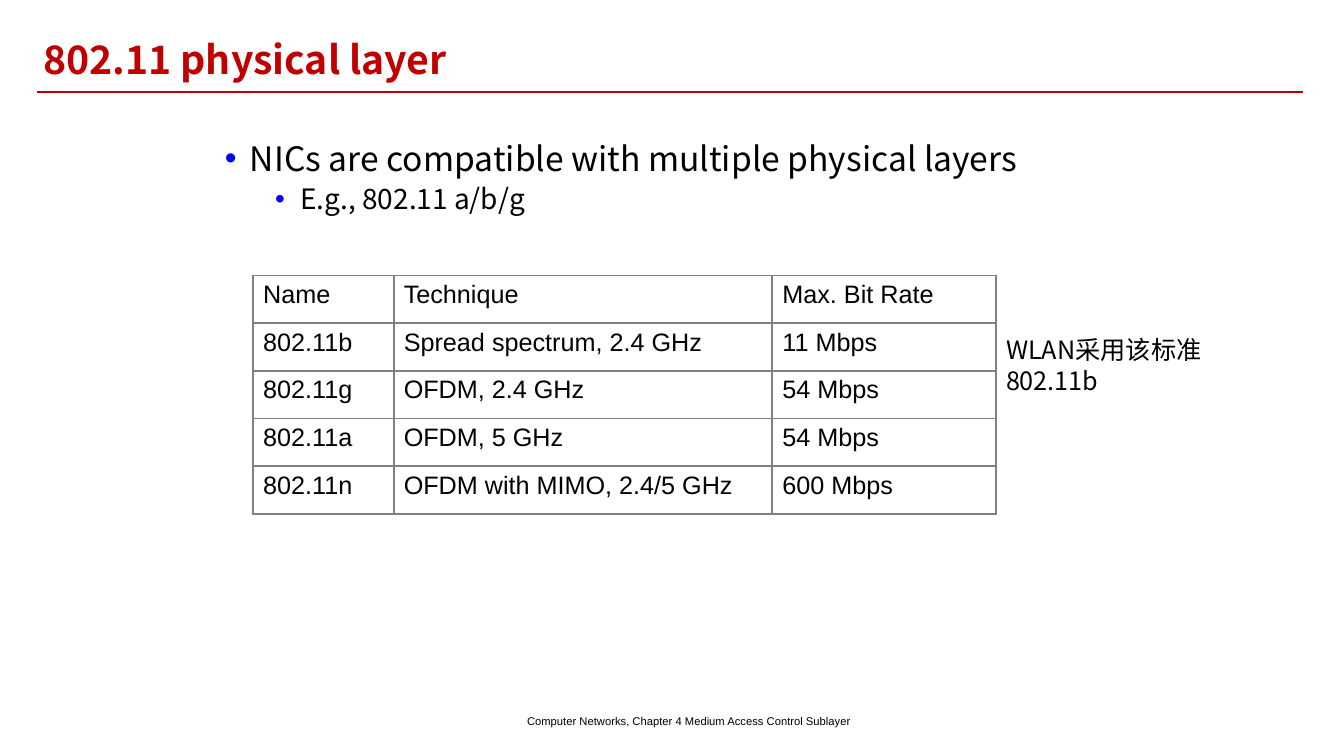
from lxml.etree import SubElement
from pptx import Presentation
from pptx.dml.color import RGBColor
from pptx.enum.shapes import MSO_CONNECTOR as Connector
from pptx.enum.text import MSO_ANCHOR as Anchor, PP_ALIGN as Align
from pptx.oxml.ns import qn
from pptx.util import Pt

SANS = "Noto Sans CJK SC"
ARIAL = "Arial"
BLACK, WHITE, RED, BLUE, GRAY = "000000", "FFFFFF", "C00000", "0000FF", "808080"

BULLETS = [
    ("NICs are compatible with multiple physical layers", 24, 54),
    ("E.g., 802.11 a/b/g", 20, 90),
]
STANDARDS = [
    ("Name", "Technique", "Max. Bit Rate"),
    ("802.11b", "Spread spectrum, 2.4 GHz", "11 Mbps"),
    ("802.11g", "OFDM, 2.4 GHz", "54 Mbps"),
    ("802.11a", "OFDM, 5 GHz", "54 Mbps"),
    ("802.11n", "OFDM with MIMO, 2.4/5 GHz", "600 Mbps"),
]
COLUMN_WIDTHS = (100.5, 270.5, 159.5)


def color(value):
    return RGBColor.from_string(value)


def points(box):
    return [Pt(length) for length in box]


def add_run(paragraph, text, size, font_name=SANS, font_color=BLACK, bold=False):
    run = paragraph.add_run()
    run.text = text
    run.font.size = Pt(size)
    run.font.name = font_name
    run.font.bold = bold
    run.font.color.rgb = color(font_color)
    SubElement(run._r.get_or_add_rPr(), qn("a:ea"), typeface=font_name)


def add_text_frame(slide, box):
    frame = slide.shapes.add_textbox(*points(box)).text_frame
    frame.word_wrap = True
    return frame


def add_bullet(paragraph, margin, hanging):
    properties = paragraph._p.get_or_add_pPr()
    properties.set("marL", str(Pt(margin)))
    properties.set("indent", str(-Pt(hanging)))
    bullet_color = SubElement(properties, qn("a:buClr"))
    SubElement(bullet_color, qn("a:srgbClr"), val=BLUE)
    SubElement(properties, qn("a:buFont"), typeface=ARIAL)
    SubElement(properties, qn("a:buChar"), char="•")


def add_cell_borders(cell):
    properties = cell._tc.get_or_add_tcPr()
    for index, side in enumerate(("lnL", "lnR", "lnT", "lnB")):
        line = properties.makeelement(qn(f"a:{side}"), {"w": str(Pt(1.5))})
        fill = SubElement(line, qn("a:solidFill"))
        SubElement(fill, qn("a:srgbClr"), val=GRAY)
        properties.insert(index, line)


def build_title(slide, box):
    left, top, width, height = box
    # Rule under the title
    y = Pt(top + height + 3.5)
    rule = slide.shapes.add_connector(
        Connector.STRAIGHT, Pt(left + 2.5), y, Pt(left + width - 15), y)
    rule.line.color.rgb = color(RED)
    rule.line.width = Pt(1.5)
    SubElement(rule._element.spPr, qn("a:effectLst"))
    # Title text
    title = slide.shapes.title
    title.left, title.top, title.width, title.height = points(box)
    title.fill.solid()
    title.fill.fore_color.rgb = color(WHITE)
    frame = title.text_frame
    frame.word_wrap = True
    frame.vertical_anchor = Anchor.MIDDLE
    paragraph = frame.paragraphs[0]
    paragraph.alignment = Align.LEFT
    add_run(paragraph, "802.11 physical layer", 28, font_color=RED, bold=True)


# Bulleted statements
def build_bullets(slide, box):
    frame = add_text_frame(slide, box)
    for level, (text, size, margin) in enumerate(BULLETS):
        paragraph = frame.add_paragraph() if level else frame.paragraphs[0]
        paragraph.level = level
        paragraph.line_spacing = 0.9
        if level:
            paragraph.space_before = Pt(5)
        add_bullet(paragraph, margin, 18)
        add_run(paragraph, text, size)


# Table of the standards
def build_standards_table(slide, box):
    table = slide.shapes.add_table(
        len(STANDARDS), len(COLUMN_WIDTHS), *points(box)).table
    table.first_row = table.horz_banding = False
    for column, width in zip(table.columns, COLUMN_WIDTHS):
        column.width = Pt(width)
    for row, texts in zip(table.rows, STANDARDS):
        row.height = Pt(box[3] / len(STANDARDS))
        for cell, text in zip(row.cells, texts):
            cell.fill.solid()
            cell.fill.fore_color.rgb = color(WHITE)
            add_cell_borders(cell)
            add_run(cell.text_frame.paragraphs[0], text, 18, ARIAL)


# Note beside the table
def build_note(slide, box):
    paragraph = add_text_frame(slide, box).paragraphs[0]
    add_run(paragraph, "WLAN采用该标准", 18)
    paragraph.add_line_break()
    add_run(paragraph, "802.11b", 18)


# Footer line
def build_footer(slide, box):
    frame = add_text_frame(slide, box)
    frame.vertical_anchor = Anchor.MIDDLE
    paragraph = frame.paragraphs[0]
    paragraph.alignment = Align.CENTER
    add_run(paragraph, "Computer Networks, Chapter 4 Medium Access Control Sublayer",
            8, ARIAL)


def main():
    presentation = Presentation()
    presentation.slide_width = Pt(960)
    presentation.slide_height = Pt(540)
    slide = presentation.slides.add_slide(presentation.slide_layouts[5])
    build_title(slide, (24, 21.5, 922, 41))
    build_bullets(slide, (117.5, 98, 736, 70.5))
    build_standards_table(slide, (180.75, 196.75, sum(COLUMN_WIDTHS), 170.5))
    build_note(slide, (711.5, 235.5, 220, 50))
    build_footer(slide, (318, 500.5, 348.5, 29))
    presentation.save("out.pptx")


if __name__ == "__main__":
    main()
